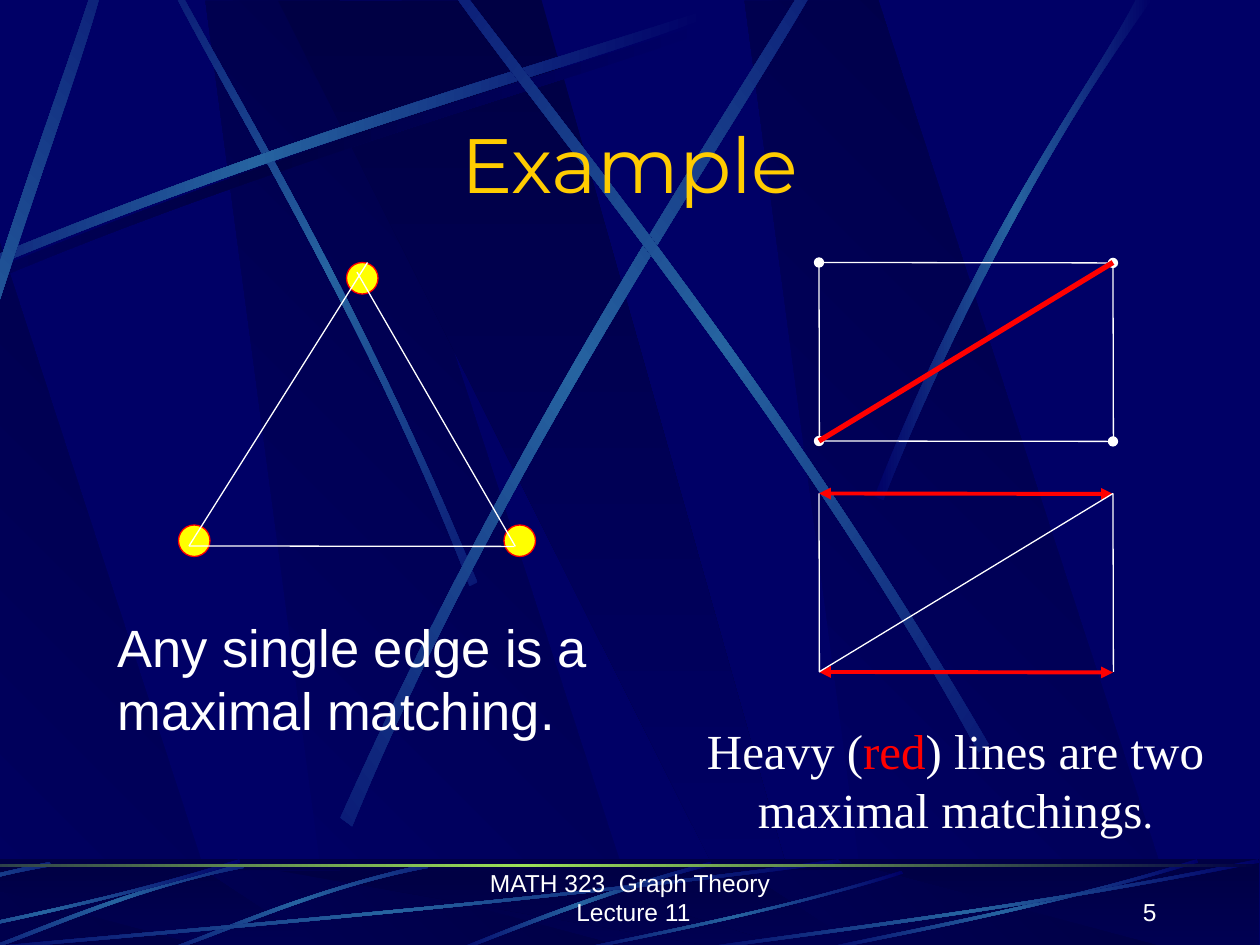
from dataclasses import dataclass

from lxml.etree import SubElement
from pptx import Presentation
from pptx.dml.color import RGBColor
from pptx.enum.shapes import MSO_CONNECTOR as Connector, MSO_SHAPE as Preset
from pptx.enum.text import MSO_ANCHOR as Anchor, PP_ALIGN as Align
from pptx.oxml.ns import qn
from pptx.util import Pt


@dataclass(frozen=True)
class Theme:
    night: str = "000066"
    shade: str = "000044"
    beam: str = "2663A0"
    rule: str = "9CE157"
    gold: str = "FFCC00"
    white: str = "FFFFFF"
    red: str = "FF0000"
    yellow: str = "FFFF00"
    title_size: float = 44
    body_size: float = 30
    caption_size: float = 28
    stop_size: float = 24
    footer_size: float = 14
    sans: str = "Arial"
    display: str = "Montserrat"
    serif: str = "Times New Roman"


@dataclass(frozen=True)
class Gradient:
    colors: tuple[str, ...]
    angle: int = 0


@dataclass(frozen=True)
class Box:
    left: float
    top: float
    width: float
    height: float


@dataclass(frozen=True)
class Outline:
    points: tuple[tuple[float, float], ...]  # percent of the box
    curved: bool = False  # two cubic curves joined by a short straight end


@dataclass(frozen=True)
class Band:
    box: Box
    outline: Outline
    gradient: Gradient
    turn: float = 0
    flip_h: bool = False
    flip_v: bool = False


@dataclass(frozen=True)
class Stroke:
    color: str
    width: float
    ends: str = ""


@dataclass(frozen=True)
class Words:
    text: str
    color: str
    size: float


theme = Theme()
THIN = Stroke(theme.white, 0.75)
BEAM = Gradient((theme.night, theme.beam, theme.night))
SHADOW = Gradient((theme.night, theme.shade, theme.night))
SLANTED = Gradient((theme.night, theme.shade), 315)
FALLING = Gradient((theme.shade, theme.night), 90)
RULE = Gradient((theme.shade, theme.rule, theme.shade))

SHARD = Outline(((28.4, 99.7), (100, 100), (30.1, 0), (0, 0.1)))
WEDGE = Outline(((0, 0.1), (89.8, 100), (100, 100), (49.5, 0)))
SWEEP = Outline(((0, 96.3), (43.3, 43.3), (82.7, 15.3), (99.6, 0),
                 (100, 2.2), (83.5, 19), (38.4, 49.6), (0.4, 100)), curved=True)
SHOOT = Outline(((0, 99.2), (39.8, 43.7), (79.2, 16.6), (94.1, 0),
                 (100, 0), (51.6, 36.7), (16.3, 81.1), (3.2, 100)), curved=True)
ROOT = Outline(((99.5, 0), (49, 38.4), (16.2, 82), (0, 98.6),
                (2.4, 100), (22.9, 76.7), (68.6, 24.7), (100, 4.1)), curved=True)


def panels(top: float, height: float) -> list[Band]:
    shards = [Band(Box(left, top, 253.5, height), SHARD, SLANTED)
              for left in (117.4, -121.7, 425.5)]
    return shards + [Band(Box(159, top, 304, height), WEDGE, FALLING)]


BACKDROP = panels(0, 543.5) + [
    Band(Box(-104.4, 12.2, 512, 193), SWEEP, SHADOW),
    Band(Box(-2.9, 96.5, 371.5, 126.7), SWEEP, BEAM, 45, flip_h=True),
    Band(Box(-109.4, 6.5, 512, 193), SWEEP, BEAM),
    Band(Box(-229, 115.2, 440, 224), SWEEP, BEAM, 312),
    Band(Box(72.7, 115.2, 525, 217.4), SWEEP, BEAM, 321),
    Band(Box(150.5, 108.7, 512, 193), SWEEP, BEAM, 35, flip_h=True),
    Band(Box(499.7, -0.7, 159, 286.6), SHOOT, BEAM),
]
FOOTER_BEAMS = [Band(Box(255.6, 492.5, 151.2, 52.6), ROOT, BEAM)] + [
    Band(Box(left, top, width, height), SWEEP, BEAM, 315, flip_h=True)
    for left, top, width, height in ((106.6, 483.1, 133.2, 69.8), (1.4, 483.1, 133.2, 69.8),
                                     (-105.8, 479.5, 129.6, 71.3))
] + [
    Band(Box(left, top, width, 545.3 - top), SWEEP, BEAM, flip_h=True, flip_v=True)
    for left, top, width in ((-37.4, 491, 518.4), (-86.4, 491, 224), (321.8, 497.5, 194.4),
                             (460.8, 491, 224), (383.8, 491, 336.2))
]


def rgb(color: str) -> RGBColor:
    return RGBColor.from_string(color)


def paint_gradient(shape, gradient: Gradient) -> None:
    shape.shadow.inherit = False
    shape.line.fill.background()
    shape.fill.gradient()
    fill = shape.fill._xPr.find(qn("a:gradFill"))
    for child in list(fill):
        fill.remove(child)
    fill.set("rotWithShape", "1")
    stops = SubElement(fill, qn("a:gsLst"))
    for index, color in enumerate(gradient.colors):
        position = 100000 * index // (len(gradient.colors) - 1)
        stop = SubElement(stops, qn("a:gs"), pos=str(position))
        SubElement(stop, qn("a:srgbClr"), val=color)
    SubElement(fill, qn("a:lin"), ang=str(gradient.angle * 60000), scaled="0")


def bend_sides(shape) -> None:
    """Turn both long sides of an eight-point outline into cubic curves."""
    segments = list(shape._element.iter(qn("a:lnTo")))
    for first in (0, 4):
        side = segments[first:first + 3]
        curve = side[0].makeelement(qn("a:cubicBezTo"))
        side[0].addprevious(curve)
        for segment in side:
            curve.append(segment[0])
            segment.getparent().remove(segment)


def draw_band(shapes, band: Band) -> None:
    box = band.box
    points = [(Pt(box.left + box.width * (100 - x if band.flip_h else x) / 100),
               Pt(box.top + box.height * (100 - y if band.flip_v else y) / 100))
              for x, y in band.outline.points]
    builder = shapes.build_freeform(*points[0])
    builder.add_line_segments(points[1:], close=True)
    shape = builder.convert_to_shape()
    if band.outline.curved:
        bend_sides(shape)
    shape.rotation = band.turn
    paint_gradient(shape, band.gradient)


def draw_preset(shapes, preset: Preset, box: Box):
    return shapes.add_shape(preset, Pt(box.left), Pt(box.top), Pt(box.width), Pt(box.height))


def draw_edge(shapes, x1: float, y1: float, x2: float, y2: float, stroke: Stroke) -> None:
    edge = shapes.add_connector(Connector.STRAIGHT, Pt(x1), Pt(y1), Pt(x2), Pt(y2))
    edge.line.color.rgb = rgb(stroke.color)
    edge.line.width = Pt(stroke.width)
    if stroke.ends:
        for end in ("a:headEnd", "a:tailEnd"):
            SubElement(edge.line._get_or_add_ln(), qn(end), type=stroke.ends)
    SubElement(edge._element.spPr, qn("a:effectLst"))


def draw_quad(shapes, top: float, level: Stroke, diagonal: Stroke) -> None:
    left, right, bottom, drift = 468, 636, top + 102, 0.25
    for y in (top, bottom):
        draw_edge(shapes, left, y, right, y + drift, level)
    for x in (left, right):
        draw_edge(shapes, x, top, x + drift, bottom, THIN)
    draw_edge(shapes, left, bottom, right, top, diagonal)


def draw_text(shapes, box: Box, words: list[Words], font: str,
              align: Align = Align.LEFT, anchor: Anchor = Anchor.TOP) -> None:
    frame = shapes.add_textbox(Pt(box.left), Pt(box.top), Pt(box.width), Pt(box.height)).text_frame
    frame.word_wrap = True
    frame.vertical_anchor = anchor
    paragraph = frame.paragraphs[0]
    paragraph.alignment = align
    paragraph.font.name = font
    for part in words:
        run = paragraph.add_run()
        run.text = part.text
        run.font.size = Pt(part.size)
        run.font.color.rgb = rgb(part.color)


deck = Presentation()
deck.slide_width, deck.slide_height = Pt(720), Pt(540)
slide = deck.slides.add_slide(deck.slide_layouts[6])
slide.background.fill.solid()
slide.background.fill.fore_color.rgb = rgb(theme.night)
shapes = slide.shapes

# Backdrop and footer band
footer_box = Box(-121.7, 491, 841, 54)
for band in BACKDROP:
    draw_band(shapes, band)
paint_gradient(draw_preset(shapes, Preset.RECTANGLE, footer_box), FALLING)
for band in panels(497.5, 47.5):
    draw_band(shapes, band)
veil = draw_preset(shapes, Preset.RECTANGLE, footer_box)
veil.shadow.inherit = False
veil.line.fill.background()
veil.fill.solid()
veil.fill.fore_color.rgb = rgb(theme.shade)
SubElement(veil._element.spPr.find(f"{qn('a:solidFill')}/{qn('a:srgbClr')}"),
           qn("a:alpha"), val="50000")
for band in FOOTER_BEAMS:
    draw_band(shapes, band)
paint_gradient(draw_preset(shapes, Preset.RECTANGLE, Box(-121.7, 494, 841, 1.4)), RULE)

# Footer, title and statement
draw_text(shapes, Box(248, 497, 228, 36),
          [Words("MATH 323  Graph Theory  Lecture 11", theme.white, theme.footer_size)],
          theme.sans, Align.CENTER, Anchor.BOTTOM)
draw_text(shapes, Box(518, 497, 150, 36), [Words("5", theme.white, theme.footer_size)],
          theme.sans, Align.RIGHT, Anchor.BOTTOM)
draw_text(shapes, Box(54, 63, 612, 60), [Words("Example", theme.gold, theme.title_size)],
          theme.display, Align.CENTER, Anchor.MIDDLE)
draw_text(shapes, Box(60, 348, 294, 90),
          [Words("Any single edge is a maximal matching.", theme.white, theme.body_size)],
          theme.sans)

# Triangle graph
for left, top in ((198, 150), (288, 300), (102, 300)):
    vertex = draw_preset(shapes, Preset.OVAL, Box(left, top, 18, 18))
    vertex.shadow.inherit = False
    vertex.fill.solid()
    vertex.fill.fore_color.rgb = rgb(theme.yellow)
    vertex.line.color.rgb = rgb(theme.red)
    vertex.line.width = Pt(0.75)
for ends in ((210, 150, 108, 312), (108, 312, 294, 312.25), (294.5, 312.25, 204, 155.5)):
    draw_edge(shapes, *ends, THIN)

# Two matchings of the four-vertex graph
draw_quad(shapes, 150, Stroke(theme.white, 0.75, "oval"), Stroke(theme.red, 3))
draw_quad(shapes, 282, Stroke(theme.red, 2.25, "triangle"), THIN)
draw_text(shapes, Box(396, 408.25, 300, 75), [
    Words("Heavy (", theme.white, theme.caption_size),
    Words("red", theme.red, theme.caption_size),
    Words(") lines are two maximal matchings", theme.white, theme.caption_size),
    Words(".", theme.white, theme.stop_size),
], theme.serif, Align.CENTER)

deck.save("out.pptx")
